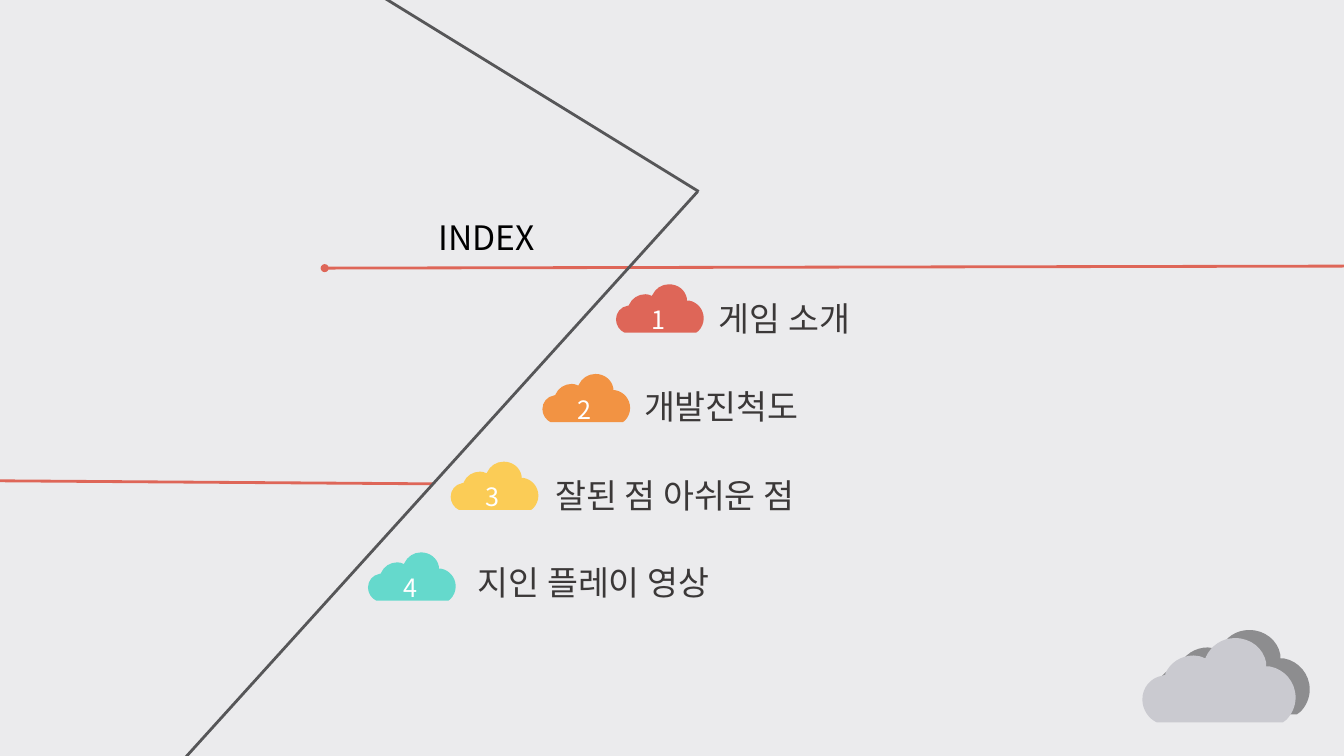
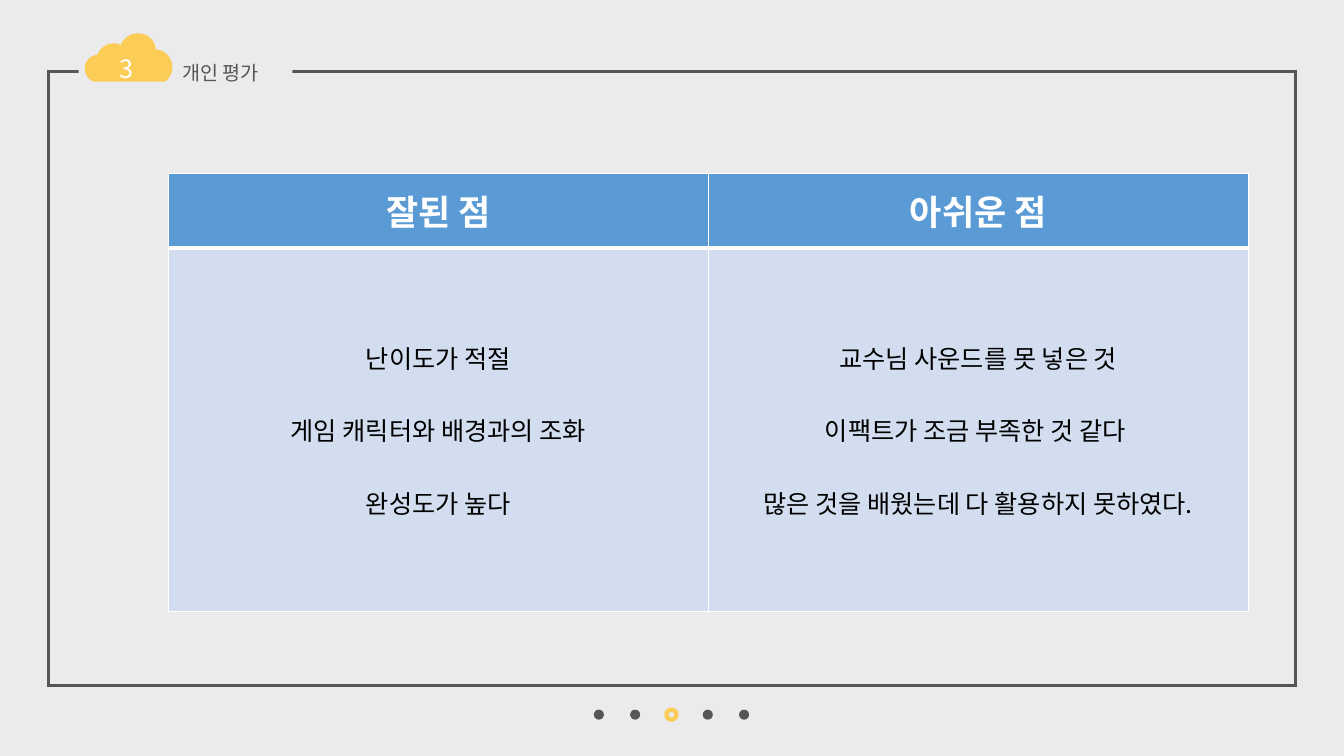
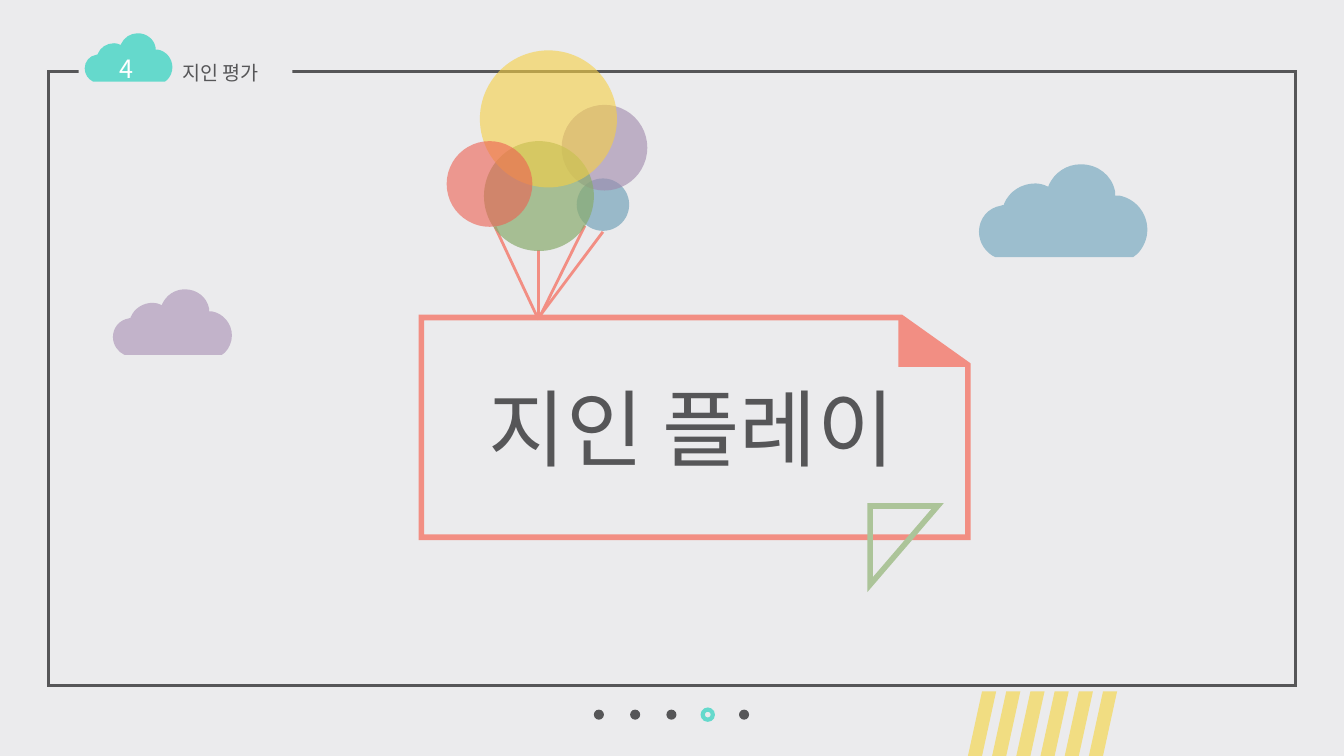
import dataclasses
import typing

import lxml.etree
import pptx
import pptx.dml.color
import pptx.enum.shapes
import pptx.enum.text
import pptx.oxml.ns
import pptx.shapes.shapetree
import pptx.util

Color = pptx.dml.color.RGBColor
Tree = typing.Union[pptx.shapes.shapetree.SlideShapes, pptx.shapes.shapetree.GroupShapes]
Point = tuple[float, float]

PAPER = pptx.dml.color.RGBColor(0xEB, 0xEB, 0xED)
WHITE = pptx.dml.color.RGBColor(0xFF, 0xFF, 0xFF)
BLACK = pptx.dml.color.RGBColor(0x00, 0x00, 0x00)
SLATE = pptx.dml.color.RGBColor(0x56, 0x56, 0x58)
INK = pptx.dml.color.RGBColor(0x3B, 0x38, 0x38)
RED = pptx.dml.color.RGBColor(0xDE, 0x66, 0x58)
ORANGE = pptx.dml.color.RGBColor(0xF2, 0x93, 0x43)
YELLOW = pptx.dml.color.RGBColor(0xFB, 0xCC, 0x56)
TEAL = pptx.dml.color.RGBColor(0x65, 0xD9, 0xCC)
SHADE = pptx.dml.color.RGBColor(0x8D, 0x8D, 0x8F)
SILVER = pptx.dml.color.RGBColor(0xCA, 0xCA, 0xD0)
HEAD = pptx.dml.color.RGBColor(0x5B, 0x9B, 0xD5)
BODY = pptx.dml.color.RGBColor(0xD2, 0xDE, 0xEF)
CORAL = pptx.dml.color.RGBColor(0xF2, 0x8E, 0x83)
SAGE = pptx.dml.color.RGBColor(0xAC, 0xC4, 0x99)
SKY = pptx.dml.color.RGBColor(0x9C, 0xBE, 0xCE)
LILAC = pptx.dml.color.RGBColor(0xC2, 0xB3, 0xCA)
STRAW = pptx.dml.color.RGBColor(0xF1, 0xDD, 0x82)

FONT = "Noto Sans CJK KR"
OVAL = pptx.enum.shapes.MSO_SHAPE.OVAL
RECT = pptx.enum.shapes.MSO_SHAPE.RECTANGLE
CENTER = pptx.enum.text.PP_ALIGN.CENTER

# Each step holds one point for a line or three for a curve.
CLOUD_WIDE = 1.67
CLOUD_START: Point = (1.01, 0)
CLOUD_STEPS: list[list[Point]] = [
    [(1.18, 0), (1.32, 0.11), (1.35, 0.27)],
    [(1.35, 0.31)],
    [(1.39, 0.31)],
    [(1.55, 0.34), (1.67, 0.48), (1.67, 0.65)],
    [(1.67, 0.74), (1.63, 0.83), (1.57, 0.89)],
    [(1.53, 0.92)],
    [(0.17, 0.92)],
    [(0.16, 0.92)],
    [(0.07, 0.88), (0, 0.78), (0, 0.67)],
    [(0, 0.54), (0.09, 0.43), (0.22, 0.41)],
    [(0.25, 0.40)],
    [(0.25, 0.39)],
    [(0.30, 0.27), (0.42, 0.19), (0.56, 0.19)],
    [(0.60, 0.19), (0.64, 0.20), (0.68, 0.22)],
    [(0.69, 0.22)],
    [(0.69, 0.21)],
    [(0.75, 0.08), (0.87, 0), (1.01, 0)],
]


@dataclasses.dataclass(frozen=True)
class Box:
    """A place on the slide, in inches."""

    left: float
    top: float
    width: float
    height: float

    def sides(self) -> list[int]:
        """Give the four lengths that python-pptx asks for."""
        return [pptx.util.Inches(n) for n in dataclasses.astuple(self)]


@dataclasses.dataclass(frozen=True)
class Type:
    """The look of a run of text."""

    size: float
    color: Color
    bold: bool = False


@dataclasses.dataclass(frozen=True)
class Item:
    """One entry of the index."""

    label: str
    color: Color
    cloud: Point
    text: Box


@dataclasses.dataclass(frozen=True)
class Balloon:
    """A see-through disc."""

    left: float
    top: float
    size: float
    color: Color
    alpha: int


@dataclasses.dataclass(frozen=True)
class Line:
    """A straight line between two points."""

    start: Point
    end: Point
    color: Color


def tag(parent: typing.Any, name: str, **attrs: str) -> typing.Any:
    """Add a drawing element under its parent."""
    return lxml.etree.SubElement(parent, pptx.oxml.ns.qn(name), attrs)


def paint(shape: typing.Any, fill: Color | None, line: Color | None = None, wide: float = 2) -> None:
    """Set the fill and outline, and drop the shadow."""
    shape.shadow.inherit = False
    if fill is None:
        shape.fill.background()
    else:
        shape.fill.solid()
        shape.fill.fore_color.rgb = fill
    if line is None:
        shape.line.fill.background()
    else:
        shape.line.color.rgb = line
        shape.line.width = pptx.util.Pt(wide)
        tag(shape.line._get_or_add_ln(), "a:miter", lim="800000")


def preset(tree: Tree, kind: typing.Any, box: Box, fill: Color | None,
           line: Color | None = None, wide: float = 2) -> typing.Any:
    """Draw a preset shape."""
    shape = tree.add_shape(kind, *box.sides())
    paint(shape, fill, line, wide)
    return shape


def outline(tree: Tree, loops: list[list[Point]], fill: Color | None,
            line: Color | None = None, wide: float = 2) -> typing.Any:
    """Draw closed loops of points as one shape."""
    scaled = [[(pptx.util.Inches(x), pptx.util.Inches(y)) for x, y in loop] for loop in loops]
    pen = tree.build_freeform(*scaled[0][0])
    for spot, loop in enumerate(scaled):
        if spot:
            pen.move_to(*loop[0])
        pen.add_line_segments(loop[1:], close=loop[0] != loop[-1])
    shape = pen.convert_to_shape()
    paint(shape, fill, line, wide)
    return shape


def cloud(tree: Tree, spot: Point, width: float, color: Color) -> None:
    """Draw a cloud of the given width, its lines bent into curves."""
    zoom = width / CLOUD_WIDE
    knots = [CLOUD_START, *(step[-1] for step in CLOUD_STEPS)]
    shape = outline(tree, [[(spot[0] + x * zoom, spot[1] + y * zoom) for x, y in knots]], color)
    sides = list(shape._element.iter(pptx.oxml.ns.qn("a:lnTo")))
    for side, step in zip(sides, CLOUD_STEPS):
        if len(step) == 1:
            continue
        curve = lxml.etree.Element(pptx.oxml.ns.qn("a:cubicBezTo"))
        for x, y in step:
            tag(curve, "a:pt", x=str(int(pptx.util.Inches(x * zoom))),
                y=str(int(pptx.util.Inches(y * zoom))))
        side.getparent().replace(side, curve)


def stroke(tree: Tree, line: Line) -> None:
    """Draw a straight line."""
    ends = [pptx.util.Inches(n) for n in (*line.start, *line.end)]
    link = tree.add_connector(pptx.enum.shapes.MSO_CONNECTOR.STRAIGHT, *ends)
    link.line.color.rgb = line.color
    link.line.width = pptx.util.Pt(2)
    tag(link._element.spPr, "a:effectLst")


def write(para: typing.Any, words: str, style: Type) -> None:
    """Add one run to a paragraph."""
    run = para.add_run()
    run.text = words
    font = run.font
    font.name = FONT
    font.size = pptx.util.Pt(style.size)
    font.bold = style.bold
    font.color.rgb = style.color
    tag(font._element, "a:ea", typeface=FONT)


def label(tree: Tree, box: Box, words: str, style: Type,
          wrap: bool = True, align: typing.Any = None) -> None:
    """Place a text box with one line."""
    frame = tree.add_textbox(*box.sides()).text_frame
    frame.word_wrap = wrap
    frame.auto_size = pptx.enum.text.MSO_AUTO_SIZE.SHAPE_TO_FIT_TEXT
    frame.paragraphs[0].alignment = align
    write(frame.paragraphs[0], words, style)


def badge(tree: Tree, spot: Point, number: int, color: Color) -> None:
    """Draw a cloud that holds a number."""
    group = tree.add_group_shape().shapes
    cloud(group, spot, 0.87, color)
    box = Box(spot[0] + 0.25, spot[1] + 0.15, 0.37, 0.4)
    label(group, box, str(number), Type(18, WHITE), wrap=False)


def page(deck: typing.Any) -> Tree:
    """Add a blank slide on the paper colour."""
    slide = deck.slides.add_slide(deck.slide_layouts[6])
    slide.background.fill.solid()
    slide.background.fill.fore_color.rgb = PAPER
    return slide.shapes


def chapter(deck: typing.Any, number: int, title: str, color: Color) -> Tree:
    """Add a slide with the frame, page dots and title badge."""
    tree = page(deck)
    preset(tree, RECT, Box(0.48, 0.71, 12.37, 6.09), None, SLATE)
    dots = tree.add_group_shape().shapes
    for spot in range(1, 6):
        box = Box(5.53 + 0.36 * spot, 7.04, 0.1, 0.1)
        if spot == number:
            preset(dots, OVAL, box, None, color, 3)
        else:
            preset(dots, OVAL, box, SLATE)
    preset(tree, RECT, Box(0.78, 0.57, 2.12, 0.29), PAPER)
    label(tree, Box(1.71, 0.56, 1.05, 0.34), title, Type(14, SLATE), wrap=False)
    badge(tree, (0.84, 0.33), number, color)
    return tree


def fill_cell(cell: typing.Any, lines: list[str], style: Type, fill: Color,
              edges: dict[str, float]) -> None:
    """Write the lines into a cell and set its borders and fill."""
    props = cell._tc.get_or_add_tcPr()
    for side, wide in edges.items():
        edge = tag(props, f"a:ln{side}", w=str(int(pptx.util.Pt(wide))))
        tag(tag(edge, "a:solidFill"), "a:srgbClr", val=str(WHITE))
    cell.fill.solid()
    cell.fill.fore_color.rgb = fill
    cell.vertical_anchor = pptx.enum.text.MSO_ANCHOR.MIDDLE
    frame = cell.text_frame
    for spot, words in enumerate(lines):
        para = frame.add_paragraph() if spot else frame.paragraphs[0]
        para.alignment = CENTER
        if spot:
            para.space_before = pptx.util.Pt(26)
        write(para, words, style)


def index(deck: typing.Any) -> None:
    """Build the index slide."""
    tree = page(deck)
    stroke(tree, Line((3.22, 2.66), (13.33, 2.64), RED))
    stroke(tree, Line((3.65, -0.12), (6.93, 1.9), SLATE))
    label(tree, Box(4.25, 2.1, 1.33, 0.5), "INDEX", Type(24, BLACK))
    stroke(tree, Line((-0.03, 4.77), (4.3, 4.8), RED))
    items = [
        Item("게임 소개", RED, (6.11, 2.82), Box(7.03, 2.91, 1.92, 0.5)),
        Item("개발진척도", ORANGE, (5.38, 3.71), Box(6.29, 3.78, 2, 0.5)),
        Item("잘된 점 아쉬운 점", YELLOW, (4.47, 4.58), Box(5.41, 4.66, 3.04, 0.5)),
        Item("지인 플레이 영상", TEAL, (3.65, 5.48), Box(4.64, 5.53, 3.01, 0.5)),
    ]
    for item in items:
        label(tree, item.text, item.label, Type(24, INK))
    stroke(tree, Line((1.78, 7.58), (6.92, 1.9), SLATE))
    cloud(tree, (11.47, 6.25), 1.52, SHADE)
    for number, item in enumerate(items, 1):
        badge(tree, item.cloud, number, item.color)
    cloud(tree, (11.33, 6.33), 1.52, SILVER)
    preset(tree, OVAL, Box(3.18, 2.62, 0.08, 0.08), RED)


def review(deck: typing.Any) -> None:
    """Build the slide with the good and bad points."""
    tree = chapter(deck, 3, "개인 평가", YELLOW)
    table = tree.add_table(2, 2, *Box(1.67, 1.72, 10.71, 4.35).sides()).table
    table.horz_banding = False
    for row, height in zip(table.rows, (0.74, 3.61)):
        row.height = pptx.util.Inches(height)
    columns = {
        "잘된 점": ["난이도가 적절", "게임 캐릭터와 배경과의 조화", "완성도가 높다"],
        "아쉬운 점": ["교수님 사운드를 못 넣은 것", "이팩트가 조금 부족한 것 같다 ",
                  "많은 것을 배웠는데 다 활용하지 못하였다."],
    }
    for col, (head, lines) in enumerate(columns.items()):
        fill_cell(table.cell(0, col), [head], Type(25, WHITE, True), HEAD,
                  {"L": 1, "R": 1, "T": 1, "B": 3})
        fill_cell(table.cell(1, col), lines, Type(18, BLACK), BODY,
                  {"L": 1, "R": 1, "T": 3, "B": 1})


def friends(deck: typing.Any) -> None:
    """Build the slide with the balloons and the card."""
    tree = chapter(deck, 4, "지인 평가", TEAL)
    card = [(4.18, 3.15), (8.94, 3.15), (9.6, 3.62), (9.6, 5.33), (4.18, 5.33)]
    outline(tree, [card], None, CORAL, 4)
    outline(tree, [[(8.63, 5.02), (9.3, 5.02), (8.63, 5.8)]], None, SAGE, 4)
    for start, end in [((5.34, 2.48), (5.34, 3.13)), ((5.98, 2.3), (5.35, 3.14)),
                       ((4.91, 2.25), (5.34, 3.17)), ((5.8, 2.24), (5.35, 3.15))]:
        stroke(tree, Line(start, end, CORAL))

    bunch = tree.add_group_shape().shapes
    for ball in [
        Balloon(5.72, 1.77, 0.52, pptx.dml.color.RGBColor(0x63, 0x99, 0xB1), 60),
        Balloon(5.57, 1.04, 0.85, pptx.dml.color.RGBColor(0xA0, 0x89, 0xAD), 61),
        Balloon(4.8, 1.4, 1.09, pptx.dml.color.RGBColor(0x89, 0xAB, 0x6D), 70),
        Balloon(4.76, 0.5, 1.36, pptx.dml.color.RGBColor(0xF6, 0xD0, 0x44), 60),
        Balloon(4.43, 1.4, 0.85, pptx.dml.color.RGBColor(0xED, 0x60, 0x51), 60),
    ]:
        disc = preset(bunch, OVAL, Box(ball.left, ball.top, ball.size, ball.size), ball.color)
        tint = disc._element.spPr.find(pptx.oxml.ns.qn("a:solidFill"))[0]
        tag(tint, "a:alpha", val=str(ball.alpha * 1000))

    cloud(tree, (9.71, 1.63), 1.67, SKY)
    cloud(tree, (1.12, 2.87), 1.18, LILAC)
    outline(tree, [[(8.91, 3.64), (8.91, 3.13), (9.6, 3.64)]], CORAL)
    label(tree, Box(4.11, 3.69, 5.5, 1.11), "지인 플레이", Type(60, SLATE), align=CENTER)
    lefts = [9.6 + 0.24 * spot for spot in range(6)]
    outline(tree, [[(x + 0.14, 6.86), (x + 0.28, 6.86), (x + 0.14, 7.5), (x, 7.5)]
                   for x in lefts], STRAW)


def main() -> None:
    """Build and save the deck."""
    deck = pptx.Presentation()
    deck.slide_width = pptx.util.Inches(13.33)
    deck.slide_height = pptx.util.Inches(7.5)
    index(deck)
    review(deck)
    friends(deck)
    deck.save("out.pptx")


main()
